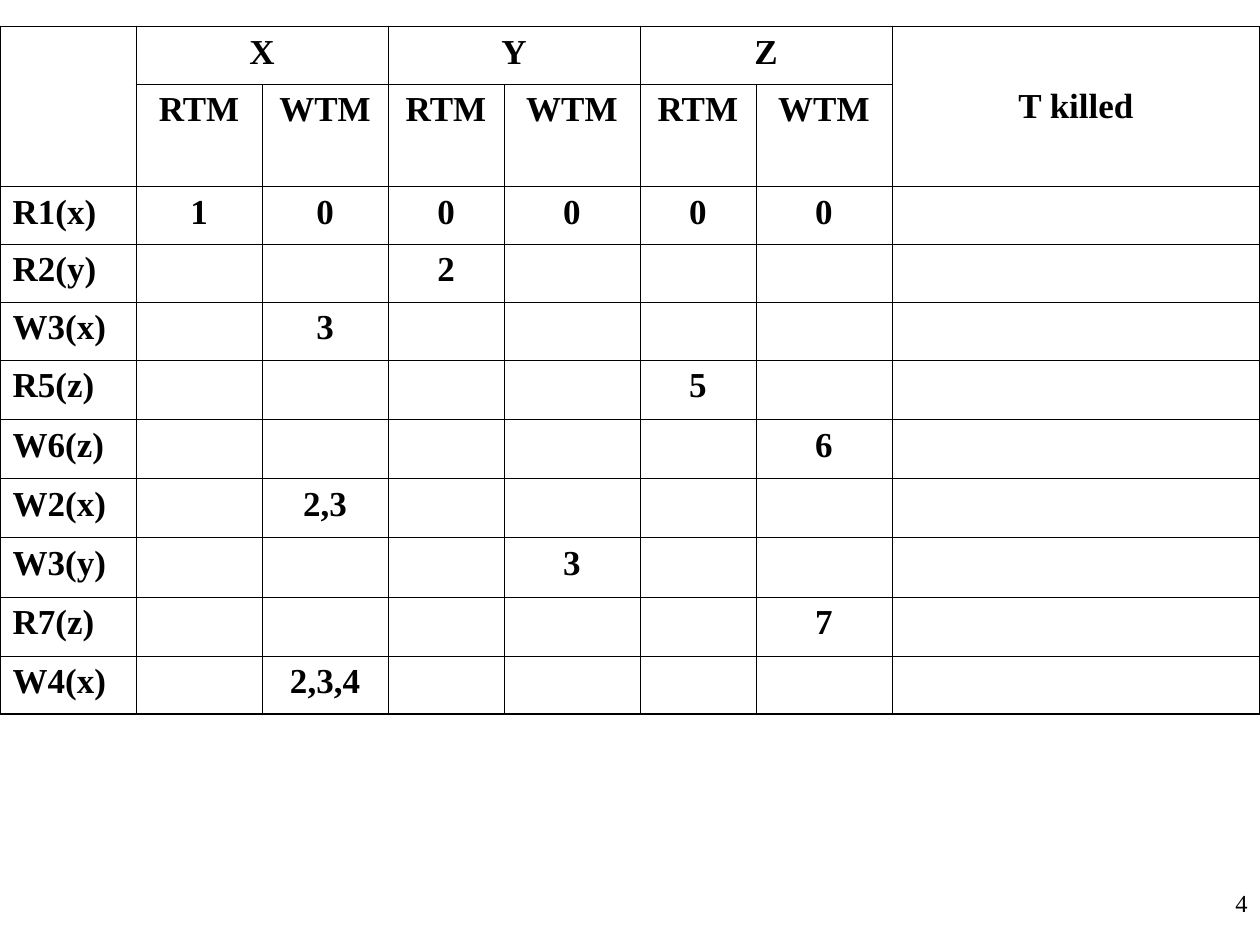
from lxml import etree
from pptx import Presentation
from pptx.dml.color import RGBColor
from pptx.enum import text
from pptx.oxml.ns import qn
from pptx.util import Inches, Pt

# Content
COLORS = {"ink": "000000"}
FONT = "Times New Roman"
PAGE_NUMBER = "4"
ITEMS = ["X", "Y", "Z"]
TIMESTAMPS = ["RTM", "WTM"]
LAST_HEADING = "T killed"
OPERATIONS = [  # operation, {column: value}
    ("R1(x)", {1: "1", 2: "0", 3: "0", 4: "0", 5: "0", 6: "0"}),
    ("R2(y)", {3: "2"}),
    ("W3(x)", {2: "3"}),
    ("R5(z)", {5: "5"}),
    ("W6(z)", {6: "6"}),
    ("W2(x)", {2: "2,3"}),
    ("W3(y)", {4: "3"}),
    ("R7(z)", {6: "7"}),
    ("W4(x)", {2: "2,3,4"}),
]
COLUMN_WIDTHS = [1.08, 1, 1, 0.92, 1.08, 0.92, 1.08, 2.92]
ROW_HEIGHTS = [0.46, 0.81] + [0.46] * 3 + [0.47] * 5 + [0.46]
THIN, THICK = 0.45, 1.08
CENTER, LEFT, RIGHT = (text.PP_ALIGN.CENTER, text.PP_ALIGN.LEFT,
                       text.PP_ALIGN.RIGHT)


def write(frame, words, size, align, bold=False):
    paragraph = frame.paragraphs[0]
    paragraph.text = words
    paragraph.alignment = align
    font = paragraph.font
    font.name, font.size, font.bold = FONT, Pt(size), bold
    font.color.rgb = RGBColor.from_string(COLORS["ink"])


def set_borders(cell, widths):
    properties = cell._tc.get_or_add_tcPr()
    for index, (side, width) in enumerate(widths.items()):
        line = etree.Element(qn(f"a:{side}"), w=str(int(Pt(width))))
        fill = etree.SubElement(line, qn("a:solidFill"))
        etree.SubElement(fill, qn("a:srgbClr"), val=COLORS["ink"])
        properties.insert(index, line)


presentation = Presentation()
presentation.slide_width, presentation.slide_height = Inches(10), Inches(7.5)
slide = presentation.slides.add_slide(presentation.slide_layouts[6])

# Timestamp table
last_row, last_column = len(ROW_HEIGHTS) - 1, len(COLUMN_WIDTHS) - 1
table = slide.shapes.add_table(
    last_row + 1, last_column + 1, Inches(0), Inches(0.21),
    Inches(sum(COLUMN_WIDTHS)), Inches(sum(ROW_HEIGHTS))).table
table.first_row = table.horz_banding = False
for column, width in zip(table.columns, COLUMN_WIDTHS):
    column.width = Inches(width)
for row, height in zip(table.rows, ROW_HEIGHTS):
    row.height = Inches(height)

# Words of each cell, by row and column
words = {(0, last_column): LAST_HEADING}
for i, item in enumerate(ITEMS):
    first = 1 + i * len(TIMESTAMPS)
    words[0, first] = item
    for j, timestamp in enumerate(TIMESTAMPS):
        words[1, first + j] = timestamp
    table.cell(0, first).merge(table.cell(0, first + len(TIMESTAMPS) - 1))
for r, (operation, values) in enumerate(OPERATIONS, start=2):
    words[r, 0] = operation
    for c, value in values.items():
        words[r, c] = value
for c in (0, last_column):
    table.cell(0, c).merge(table.cell(1, c))

# Cell format: thick outer frame, thin inner lines
for r in range(last_row + 1):
    for c in range(last_column + 1):
        cell = table.cell(r, c)
        cell.fill.background()
        set_borders(cell, {
            "lnL": THICK if c == 0 else THIN,
            "lnR": THICK if c == last_column else THIN,
            "lnT": THICK if r == 0 else THIN,
            "lnB": THICK if r == last_row else THIN,
        })
        if (r, c) in words:
            write(cell.text_frame, words[r, c], 20,
                  CENTER if c else LEFT, bold=True)
table.cell(0, last_column).vertical_anchor = text.MSO_ANCHOR.MIDDLE

# Page number
page_box = slide.shapes.add_textbox(
    Inches(7.92), Inches(7), Inches(2.08), Inches(0.5))
page_box.text_frame.word_wrap = True
write(page_box.text_frame, PAGE_NUMBER, 14, RIGHT)

presentation.save("out.pptx")
